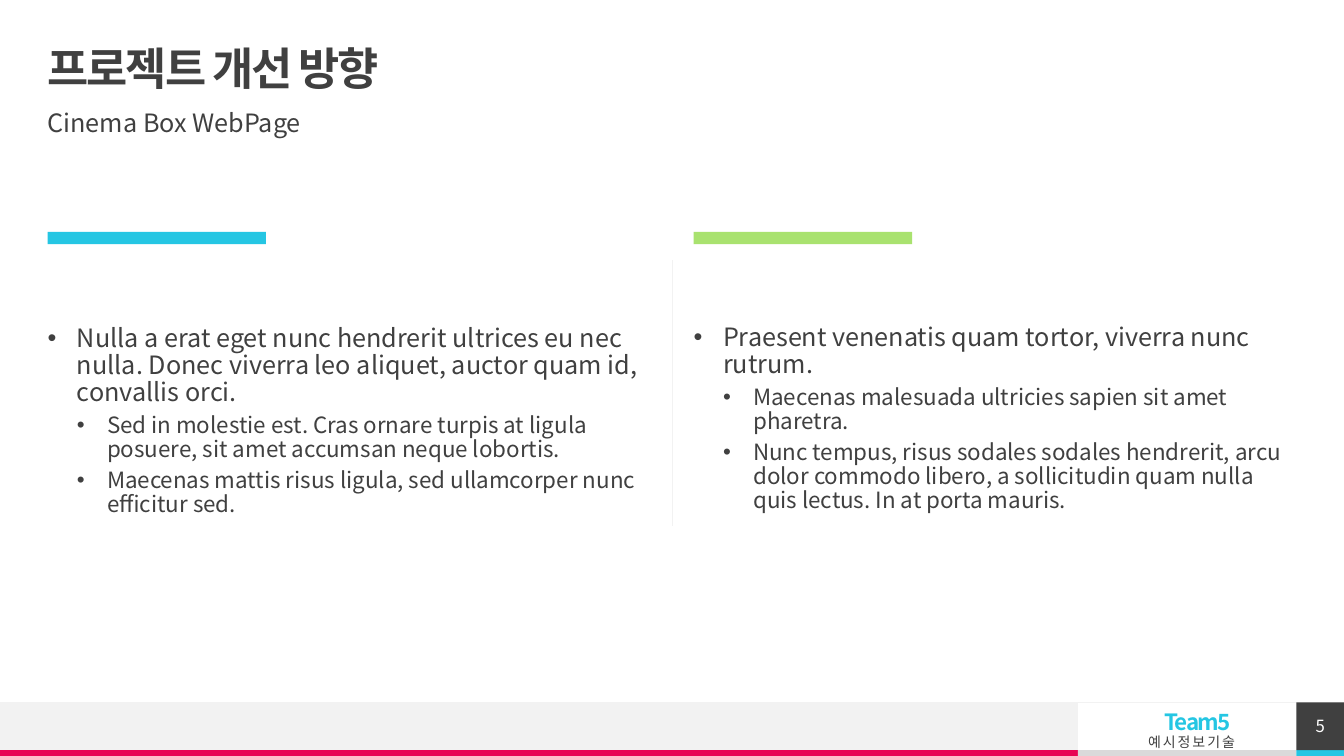
from dataclasses import dataclass

from lxml.etree import SubElement
from pptx import Presentation
from pptx.dml.color import RGBColor
from pptx.enum.shapes import MSO_CONNECTOR, MSO_SHAPE
from pptx.enum.text import MSO_ANCHOR, MSO_AUTO_SIZE, PP_ALIGN
from pptx.oxml.ns import qn
from pptx.util import Pt


@dataclass(frozen=True)
class Theme:
    font: str = "Noto Sans CJK KR"
    ink: str = "404040"
    white: str = "FFFFFF"
    pale: str = "F2F2F2"
    gray: str = "DADADA"
    cyan: str = "25C6E3"
    green: str = "A9E26F"
    crimson: str = "E80554"
    title: int = 32
    body: int = 18
    detail: int = 16
    number: int = 12
    caption: int = 10


THEME = Theme()
WIDTH, HEIGHT = 960, 540
MARGIN = 34
CONTENT_WIDTH = WIDTH - 2 * MARGIN
COLUMN_WIDTH = 430.5
FOOTER_TOP, FOOTER_HEIGHT = 501.75, 34
STRIP_TOP = FOOTER_TOP + FOOTER_HEIGHT
FOOTER_WIDTH = 770
NUMBER_LEFT = WIDTH - MARGIN
ACCENT_TOP = 165.7

COLUMNS = [
    (MARGIN, 232.5, THEME.cyan, [
        "Nulla a erat eget nunc hendrerit ultrices eu nec nulla. "
        "Donec viverra leo aliquet, auctor quam id, convallis orci.",
        "Sed in molestie est. Cras ornare turpis at ligula posuere, "
        "sit amet accumsan neque lobortis.",
        "Maecenas mattis risus ligula, sed ullamcorper nunc efficitur sed.",
    ]),
    (WIDTH - MARGIN - COLUMN_WIDTH, 231.8, THEME.green, [
        "Praesent venenatis quam tortor, viverra nunc rutrum.",
        "Maecenas malesuada ultricies sapien sit amet pharetra.",
        "Nunc tempus, risus sodales sodales hendrerit, arcu dolor commodo "
        "libero, a sollicitudin quam nulla quis lectus. In at porta mauris.",
    ]),
]


def write(paragraph, text, *, size, color=THEME.ink, bold=False, tracking=0,
          align=PP_ALIGN.LEFT, line_spacing=0.9, before=0):
    paragraph.alignment = align
    paragraph.line_spacing = line_spacing
    paragraph.space_before = Pt(before)
    run = paragraph.add_run()
    run.text = text
    font = run.font
    font.name = THEME.font
    font.size = Pt(size)
    font.bold = bold
    font.color.rgb = RGBColor.from_string(color)
    properties = run._r.get_or_add_rPr()
    properties.set("spc", str(round(tracking * 100)))
    SubElement(properties, qn("a:ea"), typeface=THEME.font)


def set_bullet(paragraph, margin, hanging):
    properties = paragraph._p.get_or_add_pPr()
    properties.set("marL", str(Pt(margin)))
    properties.set("indent", str(-Pt(hanging)))
    if hanging:
        SubElement(properties, qn("a:buFont"), typeface="Arial")
        SubElement(properties, qn("a:buChar"), char="•")
    else:
        SubElement(properties, qn("a:buNone"))


def prepare_frame(shape, anchor=MSO_ANCHOR.TOP, insets=(0, 0, 0, 0)):
    frame = shape.text_frame
    frame.word_wrap = True
    frame.auto_size = MSO_AUTO_SIZE.NONE
    frame.vertical_anchor = anchor
    (frame.margin_left, frame.margin_top,
     frame.margin_right, frame.margin_bottom) = map(Pt, insets)
    return frame


def place(shape, left, top, width, height):
    shape.left, shape.top = Pt(left), Pt(top)
    shape.width, shape.height = Pt(width), Pt(height)


def add_block(slide, left, top, width, height, color):
    shape = slide.shapes.add_shape(
        MSO_SHAPE.RECTANGLE, Pt(left), Pt(top), Pt(width), Pt(height))
    shape.shadow.inherit = False
    shape.fill.solid()
    shape.fill.fore_color.rgb = RGBColor.from_string(color)
    shape.line.fill.background()
    return shape


def add_rule(slide, start, end):
    rule = slide.shapes.add_connector(
        MSO_CONNECTOR.STRAIGHT, *map(Pt, start + end))
    rule.line.color.rgb = RGBColor.from_string(THEME.pale)
    rule.line.width = Pt(0.5)
    SubElement(rule._element.spPr, qn("a:effectLst"))


def add_footer(slide):
    add_block(slide, 0, FOOTER_TOP, FOOTER_WIDTH, FOOTER_HEIGHT, THEME.pale)
    strips = [(0, FOOTER_WIDTH, THEME.crimson),
              (FOOTER_WIDTH, NUMBER_LEFT, THEME.gray),
              (NUMBER_LEFT, WIDTH, THEME.cyan)]
    for left, right, color in strips:
        add_block(slide, left, STRIP_TOP, right - left, HEIGHT - STRIP_TOP, color)
    add_rule(slide, (WIDTH, FOOTER_TOP), (0, FOOTER_TOP))

    badge = slide.shapes.add_textbox(Pt(806.4), Pt(505.4), Pt(82.8), Pt(31))
    frame = prepare_frame(badge, MSO_ANCHOR.MIDDLE, (7.2, 8.64, 7.2, 0))
    paragraph = frame.paragraphs[0]
    layout = {"align": PP_ALIGN.RIGHT, "line_spacing": Pt(11)}
    write(paragraph, "Team5 ", size=THEME.detail, color=THEME.cyan,
          bold=True, tracking=-1, **layout)
    paragraph.add_line_break()
    write(paragraph, "예시정보기술", size=THEME.caption, tracking=1.4, **layout)

    number = add_block(slide, NUMBER_LEFT, FOOTER_TOP, MARGIN, FOOTER_HEIGHT, THEME.ink)
    frame = prepare_frame(number, MSO_ANCHOR.MIDDLE)
    write(frame.paragraphs[0], "5", size=THEME.number, color=THEME.white,
          align=PP_ALIGN.CENTER, line_spacing=1.0)


def add_heading(title, subtitle):
    place(title, MARGIN, MARGIN, CONTENT_WIDTH, 34)
    frame = prepare_frame(title, MSO_ANCHOR.MIDDLE)
    write(frame.paragraphs[0], "프로젝트 개선 방향",
          size=THEME.title, bold=True, tracking=-1.5)

    place(subtitle, MARGIN, 79.2, CONTENT_WIDTH, 28)
    paragraph = prepare_frame(subtitle).paragraphs[0]
    write(paragraph, "Cinema Box WebPage", size=THEME.body, before=10)
    set_bullet(paragraph, 0, 0)


def add_column(slide, placeholder, left, top, color, items):
    add_block(slide, left, ACCENT_TOP, 156, 8.7, color)
    place(placeholder, left, top, COLUMN_WIDTH, 172.8)
    frame = prepare_frame(placeholder)
    for index, item in enumerate(items):
        paragraph = frame.add_paragraph() if index else frame.paragraphs[0]
        if index:
            paragraph.level = 1
            write(paragraph, item, size=THEME.detail, before=5)
            set_bullet(paragraph, 42.5, 21.5)
        else:
            write(paragraph, item, size=THEME.body, before=10)
            set_bullet(paragraph, 21, 21)


def main():
    presentation = Presentation()
    presentation.slide_width, presentation.slide_height = Pt(WIDTH), Pt(HEIGHT)
    comparison = presentation.slide_layouts.get_by_name("Comparison")
    slide = presentation.slides.add_slide(comparison)
    title, subtitle, left_list, spare, right_list = slide.placeholders
    spare.element.getparent().remove(spare.element)

    add_heading(title, subtitle)
    for placeholder, column in zip((left_list, right_list), COLUMNS):
        add_column(slide, placeholder, *column)
    add_rule(slide, (WIDTH / 2, 186), (WIDTH / 2, 376))
    add_footer(slide)
    presentation.save("out.pptx")


if __name__ == "__main__":
    main()
